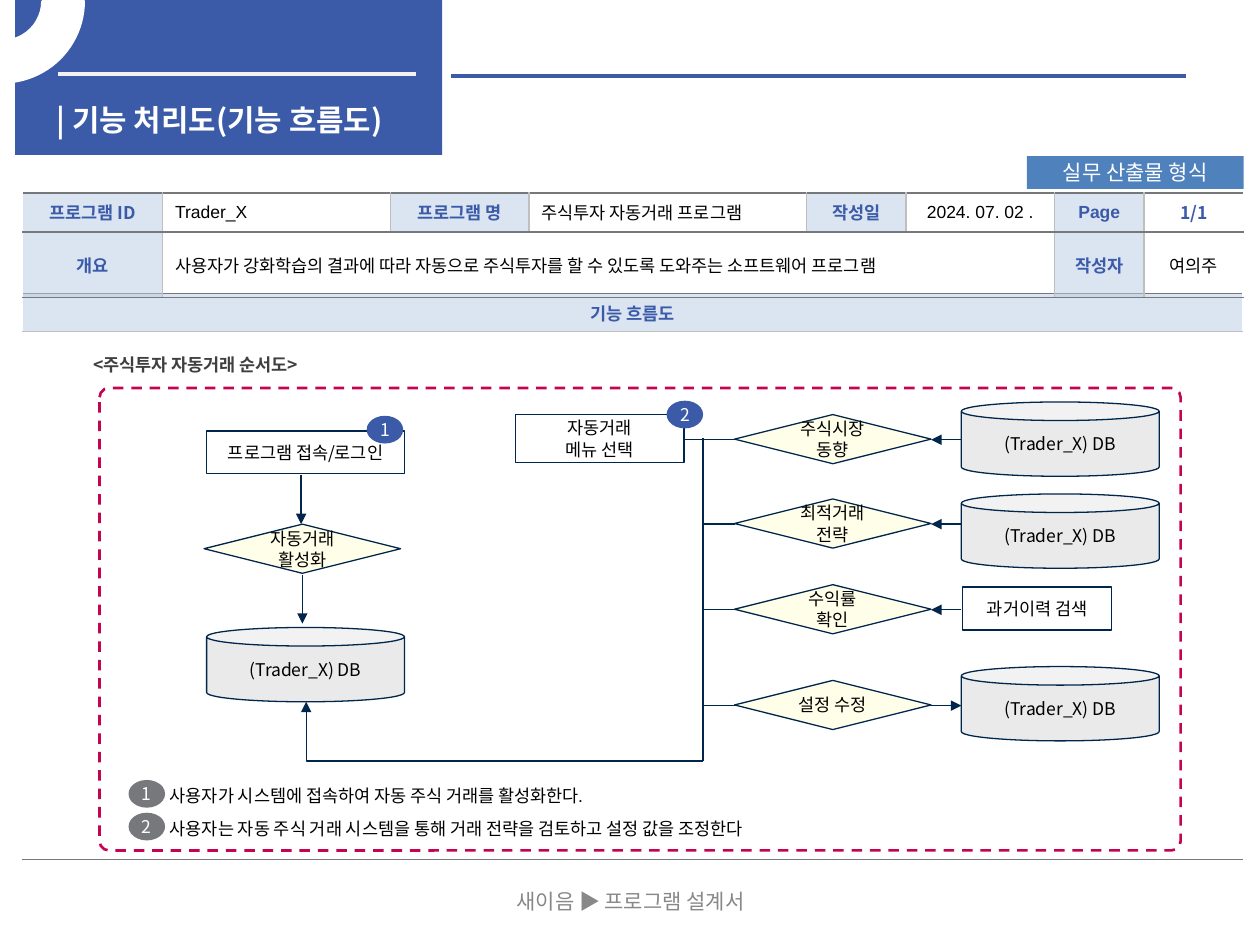
from dataclasses import dataclass

from lxml.etree import SubElement
from pptx import Presentation
from pptx.dml.color import RGBColor
from pptx.enum.dml import MSO_LINE
from pptx.enum.shapes import MSO_CONNECTOR, MSO_SHAPE
from pptx.enum.text import MSO_ANCHOR, MSO_AUTO_SIZE, PP_ALIGN
from pptx.oxml.ns import qn
from pptx.util import Inches, Pt


@dataclass(frozen=True)
class Theme:
    sans: str = "Noto Sans CJK KR"
    latin: str = "Arial"
    blue: str = "3B5AA8"
    tag: str = "4F81BD"
    label: str = "B7CCE4"
    navy: str = "00264C"
    cream: str = "FFFFE9"
    silver: str = "EAEAEA"
    rule: str = "F2F2F2"
    gray: str = "77787B"
    border: str = "BFBFBF"
    frame: str = "C40452"
    heading: str = "3F3F3F"
    footer: str = "888888"
    white: str = "FFFFFF"
    black: str = "000000"
    title_size: float = 17
    large: float = 12
    body: float = 10


class SlideBuilder:
    def __init__(self, prs, theme):
        self.t = theme
        self.s = prs.slides.add_slide(prs.slide_layouts[5])

    def fill_text(self, tf, text, size=None, color=None, bold=False, font=None,
                  align=PP_ALIGN.CENTER, anchor=MSO_ANCHOR.MIDDLE, inset=None, spacing=None):
        tf.word_wrap = True
        tf.auto_size = MSO_AUTO_SIZE.NONE
        tf.vertical_anchor = anchor
        if inset is not None:
            tf.margin_left = tf.margin_right = tf.margin_top = tf.margin_bottom = Inches(inset)
        for i, line in enumerate(text.split("\n")):
            p = tf.add_paragraph() if i else tf.paragraphs[0]
            self.run(p, line, size, color, bold, font, align)
            if spacing:
                p.line_spacing = spacing

    def run(self, p, text, size, color, bold, font, align):
        p.alignment = align
        r = p.add_run()
        r.text = text
        r.font.size = Pt(size or self.t.body)
        r.font.bold = bold
        r.font.color.rgb = RGBColor.from_string(color or self.t.black)
        r.font.name = font or self.t.sans
        SubElement(r._r.get_or_add_rPr(), qn("a:ea")).set("typeface", self.t.sans)

    def title(self, text, x, y, w, h):
        sp = self.s.shapes.title
        self.s.shapes._spTree.append(sp._element)
        sp.left, sp.top, sp.width, sp.height = map(Inches, (x, y, w, h))
        self.fill_text(sp.text_frame, text, self.t.title_size, self.t.white, True,
                       align=PP_ALIGN.LEFT, anchor=MSO_ANCHOR.TOP)

    def text(self, text, x, y, w, h, **style):
        sp = self.s.shapes.add_textbox(*map(Inches, (x, y, w, h)))
        self.fill_text(sp.text_frame, text, **style)

    def shape(self, kind, x, y, w, h, fill=None, line=None, width=0.75, text="", **style):
        sp = self.s.shapes.add_shape(kind, *map(Inches, (x, y, w, h)))
        sp.shadow.inherit = False
        if fill:
            sp.fill.solid()
            sp.fill.fore_color.rgb = RGBColor.from_string(fill)
        else:
            sp.fill.background()
        if line:
            sp.line.color.rgb = RGBColor.from_string(line)
            sp.line.width = Pt(width)
        else:
            sp.line.fill.background()
        if text:
            self.fill_text(sp.text_frame, text, **style)
        return sp

    def process(self, text, x, y, w, h):
        self.shape(MSO_SHAPE.RECTANGLE, x, y, w, h, line=self.t.navy, text=text, inset=0.04)

    def decision(self, text, x, y):
        self.shape(MSO_SHAPE.FLOWCHART_DECISION, x, y, 1.56, 0.39, self.t.cream,
                   self.t.navy, text=text)

    def database(self, x, y):
        self.shape(MSO_SHAPE.CAN, x, y, 1.57, 0.59, self.t.silver, self.t.navy,
                   text="(Trader_X) DB", inset=0.04)

    def badge(self, text, x, y, fill):
        self.shape(MSO_SHAPE.OVAL, x, y, 0.29, 0.22, fill, text=text,
                   color=self.t.white, inset=0.06)

    def line(self, x1, y1, x2, y2, color=None, width=0.75, arrow=False):
        c = self.s.shapes.add_connector(MSO_CONNECTOR.STRAIGHT, *map(Inches, (x1, y1, x2, y2)))
        c.line.color.rgb = RGBColor.from_string(color or self.t.navy)
        c.line.width = Pt(width)
        if arrow:
            SubElement(c.line._get_or_add_ln(), qn("a:tailEnd")).set("type", "triangle")
        SubElement(c._element.spPr, qn("a:effectLst"))
        return c

    def corner(self, x1, y1, x2, y2):
        c = self.line(x1, y1, x2, y2, arrow=True)
        c._element.spPr.find(qn("a:prstGeom")).set("prst", "bentConnector2")
        c._element.spPr.find(qn("a:xfrm")).set("rot", "10800000")

    def table(self, x, y, cols, rows):
        shape = self.s.shapes.add_table(len(rows), len(cols), Inches(x), Inches(y),
                                        Inches(sum(cols)), Inches(sum(rows)))
        tbl = shape.table
        tbl.first_row = tbl.horz_banding = False
        for col, w in zip(tbl.columns, cols):
            col.width = Inches(w)
        for row, h in zip(tbl.rows, rows):
            row.height = Inches(h)
        return tbl

    def cell(self, cell, text, borders, label=False, **style):
        cell.vertical_anchor = MSO_ANCHOR.MIDDLE
        if label:
            cell.fill.solid()
            cell.fill.fore_color.rgb = RGBColor.from_string(self.t.label)
            color = cell._tc.tcPr.find(qn("a:solidFill"))[0]
            SubElement(color, qn("a:alpha")).set("val", "50000")
        else:
            cell.fill.background()
        tcPr = cell._tc.get_or_add_tcPr()
        for i, (side, color) in enumerate(zip("LRTB", borders)):
            ln = SubElement(tcPr, qn(f"a:ln{side}"), w=str(Pt(1)))
            SubElement(SubElement(ln, qn("a:solidFill")), qn("a:srgbClr"), val=color)
            tcPr.insert(i, ln)
        if text:
            p = cell.text_frame.paragraphs[0]
            self.run(p, text, None, style.get("color", self.t.blue if label else None),
                     style.get("bold", label), style.get("font", self.t.latin),
                     style.get("align", PP_ALIGN.CENTER))


def header(b, t):
    b.shape(MSO_SHAPE.RECTANGLE, 0.12, 0, 3.39, 1.23, t.blue)
    b.line(0.46, 0.59, 3.3, 0.59, t.rule, 2.25)
    b.line(3.58, 0.6, 9.41, 0.6, t.blue, 2.25)
    b.title("| 기능 처리도(기능 흐름도)", 0.35, 0.76, 3.07, 0.32)
    ring = b.shape(MSO_SHAPE.BLOCK_ARC, -0.63, -0.63, 1.29, 1.28, t.white, t.white, 2)
    for i, value in enumerate((161.59, 0, 0.25)):
        ring.adjustments[i] = value
    ring.rotation = 180
    ring._element.spPr.find(qn("a:xfrm")).set("flipH", "1")
    b.text("새이음 ▶ 프로그램 설계서", 3.42, 6.95, 3.17, 0.4, size=t.large, color=t.footer)


def flow(b, t):
    tbl = b.table(0.18, 2.33, [9.68], [0.3, 4.19])
    b.cell(tbl.cell(0, 0), "기능 흐름도", (t.white, t.white, t.gray, t.border), True)
    b.cell(tbl.cell(1, 0), "", (t.white, t.white, t.border, t.gray))
    note = dict(align=PP_ALIGN.LEFT, anchor=MSO_ANCHOR.TOP, spacing=1.2)
    b.text("<주식투자 자동거래 순서도>", 0.64, 2.73, 5.43, 0.27, color=t.heading, bold=True, **note)
    frame = b.shape(MSO_SHAPE.ROUNDED_RECTANGLE, 0.79, 3.08, 8.58, 3.67, line=t.frame, width=1.5)
    frame.adjustments[0] = 0.02
    frame.line.dash_style = MSO_LINE.DASH

    b.process("프로그램 접속/로그인", 1.64, 3.42, 1.57, 0.34)
    b.database(1.64, 4.98)
    b.decision("자동거래 활성화", 1.62, 4.16)
    b.line(2.39, 3.77, 2.39, 4.16, arrow=True)
    b.line(2.4, 4.56, 2.4, 4.95, arrow=True)

    b.process("자동거래\n메뉴 선택", 4.09, 3.29, 1.34, 0.38)
    b.line(5.58, 6.04, 5.58, 3.48)
    b.corner(2.43, 5.57, 5.58, 6.04)
    steps = [("주식시장 동향", 3.29, 5.44), ("최적거래전략", 3.96, 5.58),
             ("수익률 확인", 4.64, 5.58), ("설정 수정", 5.4, 5.58)]
    for text, y, start in steps:
        mid = y + 0.2
        b.decision(text, 5.83, y)
        b.line(start, mid, 5.83, mid)
        ends = (7.39, 7.63) if text == "설정 수정" else (7.63, 7.39)
        b.line(ends[0], mid, ends[1], mid, arrow=True)
    b.process("과거이력 검색", 7.64, 4.66, 1.18, 0.34)
    for y in (3.19, 3.92, 5.29):
        b.database(7.63, y)

    b.badge("1", 2.91, 3.3, t.blue)
    b.badge("2", 5.29, 3.18, t.blue)
    notes = ["사용자가 시스템에 접속하여 자동 주식 거래를 활성화한다.",
             "사용자는 자동 주식 거래 시스템을 통해 거래 전략을 검토하고 설정 값을 조정한다"]
    for i, text in enumerate(notes):
        y = 6.15 + 0.26 * i
        b.badge(str(i + 1), 1.02, y + 0.04, t.gray)
        b.text(text, 1.25, y, 7.39, 0.27, font=t.latin, **note)


def program_info(b, t):
    tbl = b.table(0.18, 1.53, [1.11, 1.81, 1.1, 2.2, 0.79, 1.18, 0.71, 0.79], [0.31, 0.52])
    tbl.cell(1, 1).merge(tbl.cell(1, 5))
    summary = "사용자가 강화학습의 결과에 따라 자동으로 주식투자를 할 수 있도록 도와주는 소프트웨어 프로그램"
    rows = [["프로그램 ID", "Trader_X", "프로그램 명", "주식투자 자동거래 프로그램",
             "작성일", "2024. 07. 02 .", "Page", "1/1"],
            ["개요", summary, "", "", "", "", "작성자", "여의주"]]
    for i, row in enumerate(rows):
        for j, text in enumerate(row):
            borders = (t.border if j else t.white, t.border if j < 7 else t.white, t.gray, t.gray)
            style = {"align": PP_ALIGN.LEFT} if j in (1, 3) else {}
            if text == "1/1":
                style.update(color=t.blue, bold=True, font=t.sans)
            elif j == 0:
                style["font"] = t.sans
            b.cell(tbl.cell(i, j), text, borders, j % 2 == 0 and text != "", **style)
    b.shape(MSO_SHAPE.RECTANGLE, 8.15, 1.24, 1.72, 0.26, t.tag, text="실무 산출물 형식",
            size=t.large, color=t.white)


def main():
    prs = Presentation()
    prs.slide_width, prs.slide_height = Inches(10), Inches(7.5)
    theme = Theme()
    b = SlideBuilder(prs, theme)
    header(b, theme)
    flow(b, theme)
    program_info(b, theme)
    prs.save("out.pptx")


if __name__ == "__main__":
    main()
